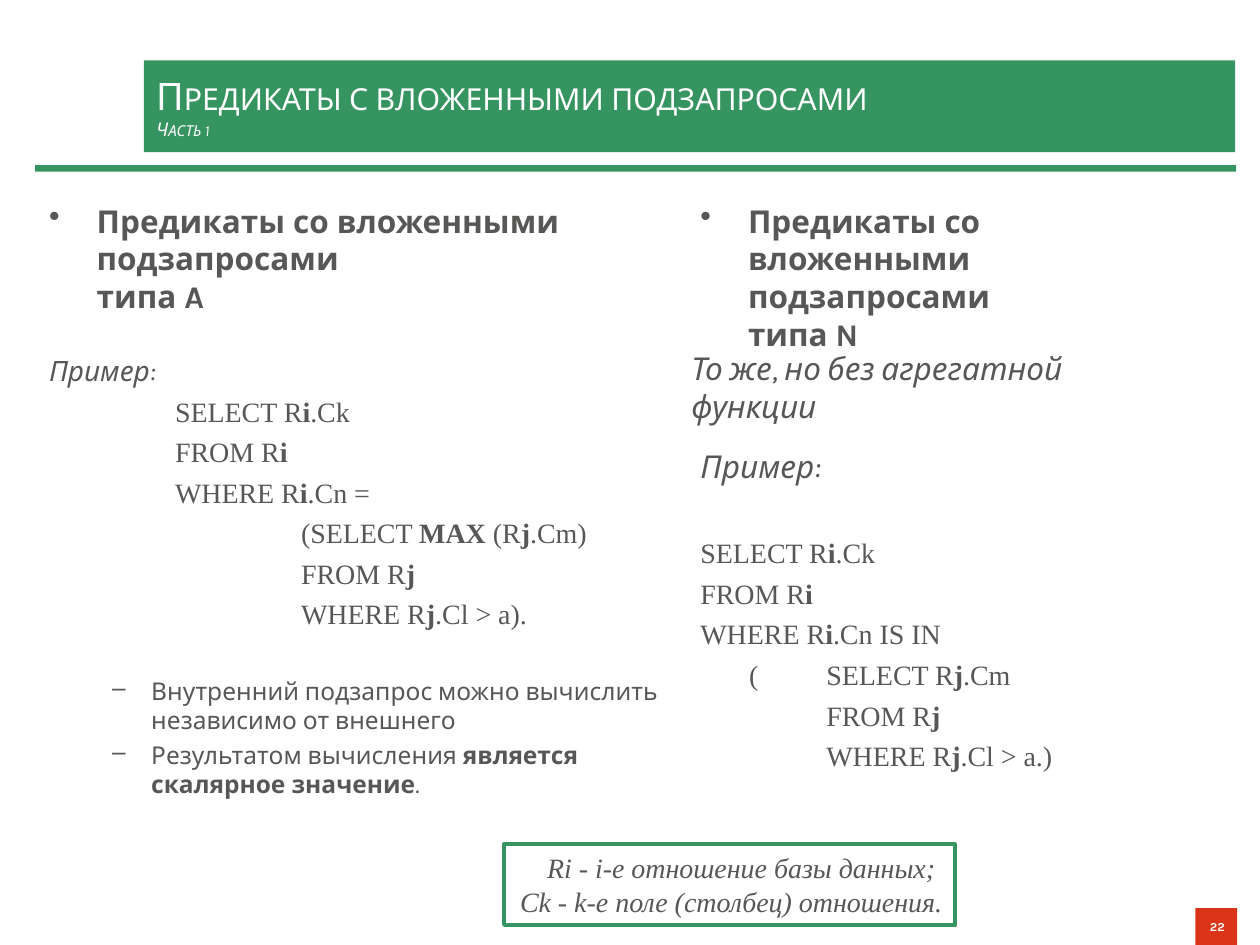
import pptx
import pptx.util
import pptx.dml.color
import pptx.enum.shapes
import pptx.enum.text
import pptx.oxml.ns
from dataclasses import dataclass
from lxml import etree
from pptx.util import Cm, Pt

ALIGN = pptx.enum.text.PP_ALIGN
ANCHOR = pptx.enum.text.MSO_ANCHOR


@dataclass(frozen=True)
class Theme:
    green: str = "369461"
    red: str = "DB3519"
    white: str = "FFFFFF"
    text: str = "575756"
    sans: str = "Karla"
    serif: str = "Times New Roman"
    title: float = 21.6
    subtitle: float = 10.8
    heading: float = 18
    code: float = 16
    note: float = 14
    number: float = 7


T = Theme()

# Paragraph styles; lengths in cm, spacing in points
HEADING = dict(size=T.heading, bold=True, bullet="•", left=0.96, hang=0.96)
LABEL = dict(size=T.heading, italic=True)
CODE = dict(size=T.code, font=T.serif, before=4)
CODE_1 = CODE | dict(left=2.54)
CODE_2 = CODE | dict(left=5.08)
CODE_OPEN = CODE | dict(left=2.54, hang=1.56)
NOTE = dict(size=T.note, bullet="–", left=2.06, hang=0.79, before=2.8)
FORMULA_KEY = dict(size=T.code, font=T.serif, italic=True, align=ALIGN.RIGHT)

# Text between asterisks changes weight
TITLE = [
    ("Предикаты с вложенными подзапросами",
     dict(size=T.title, color=T.white, small_caps=True)),
    ("Часть 1",
     dict(size=T.subtitle, color=T.white, small_caps=True, italic=True)),
]
TYPE_A = [
    ("Предикаты со вложенными подзапросами\vтипа A", HEADING),
    ("Пример:", LABEL | dict(size=T.code, before=22)),
    ("SELECT R*i*.Ck", CODE_1),
    ("FROM R*i*", CODE_1),
    ("WHERE R*i*.Cn =", CODE_1),
    ("(SELECT *MAX* (R*j*.Cm)", CODE_2),
    ("FROM R*j*", CODE_2),
    ("WHERE R*j*.Cl > a).", CODE_2),
    ("Внутренний подзапрос можно вычислить независимо от внешнего",
     NOTE | dict(before=26)),
    ("Результатом вычисления *является скалярное значение*.", NOTE),
]
TYPE_N = [
    ("Предикаты со вложенными подзапросами\vтипа N", HEADING),
    ("Пример:", LABEL | dict(before=54)),
    ("SELECT R*i*.Ck", CODE | dict(before=29)),
    ("FROM R*i*", CODE),
    ("WHERE R*i*.Cn IS IN", CODE),
    ("(\tSELECT R*j*.Cm", CODE_OPEN),
    ("FROM R*j*", CODE_1),
    ("WHERE R*j*.Cl > a.)", CODE_1),
]
ASIDE = [("То же, но без агрегатной функции", LABEL)]
KEY = [
    ("Ri - i-е отношение базы данных; ", FORMULA_KEY),
    ("Ck - k-е поле (столбец) отношения.", FORMULA_KEY),
]
NUMBER = [("22", dict(size=T.number, color=T.white, bold=True,
                      align=ALIGN.RIGHT))]


def rgb(value):
    return pptx.dml.color.RGBColor.from_string(value)


def add_paragraph(p, text, size, font=T.sans, color=T.text, bold=False,
                  italic=False, small_caps=False, bullet=None, left=0, hang=0,
                  before=0, align=ALIGN.LEFT):
    p.alignment = align
    p.space_before = Pt(before)
    props = p._p.get_or_add_pPr()
    props.set("marL", str(Cm(left)))
    props.set("indent", str(-Cm(hang)))
    if bullet:
        mark = etree.SubElement(props, pptx.oxml.ns.qn("a:buChar"))
        mark.set("char", bullet)
    for row, line in enumerate(text.split("\v")):
        if row:
            p.add_line_break()
        for i, part in enumerate(line.split("*")):
            if not part:
                continue
            r = p.add_run()
            r.text = part
            r.font.name = font
            r.font.size = Pt(size)
            r.font.bold = bold != bool(i % 2)
            r.font.italic = italic
            r.font.color.rgb = rgb(color)
            if small_caps:
                r._r.get_or_add_rPr().set("cap", "small")


def fill_text(sp, paragraphs, anchor=ANCHOR.TOP):
    tf = sp.text_frame
    tf.word_wrap = True
    tf.vertical_anchor = anchor
    for i, (text, style) in enumerate(paragraphs):
        p = tf.add_paragraph() if i else tf.paragraphs[0]
        add_paragraph(p, text, **style)
    return tf


def add_box(s, place, fill, line=None):
    sp = s.shapes.add_shape(pptx.enum.shapes.MSO_SHAPE.RECTANGLE,
                            *map(Cm, place))
    sp.shadow.inherit = False
    sp.fill.solid()
    sp.fill.fore_color.rgb = rgb(fill)
    if line:
        sp.line.color.rgb = rgb(line)
        sp.line.width = Pt(2)
    else:
        sp.line.fill.background()
    return sp


def main():
    prs = pptx.Presentation()
    prs.slide_width, prs.slide_height = Cm(25.4), Cm(19.05)
    s = prs.slides.add_slide(prs.slide_layouts[6])

    add_box(s, (0.71, 3.33, 24.21, 0.13), T.green)
    banner = add_box(s, (2.9, 1.22, 22, 1.85), T.green)
    tf = fill_text(banner, TITLE, ANCHOR.MIDDLE)
    tf.margin_top = tf.margin_bottom = Cm(0.3)
    fill_text(add_box(s, (24.1, 18.31, 0.84, 0.74), T.red), NUMBER,
              ANCHOR.MIDDLE)

    for place, paragraphs in [
        ((0.74, 3.94, 13.13, 13.94), TYPE_A),
        ((13.87, 3.94, 9.63, 13.94), TYPE_N),
        ((13.69, 6.91, 9.96, 1.02), ASIDE),
    ]:
        fill_text(s.shapes.add_textbox(*map(Cm, place)), paragraphs)

    fill_text(add_box(s, (10.16, 17.02, 9.09, 1.63), T.white, T.green), KEY)
    prs.save("out.pptx")


if __name__ == "__main__":
    main()
